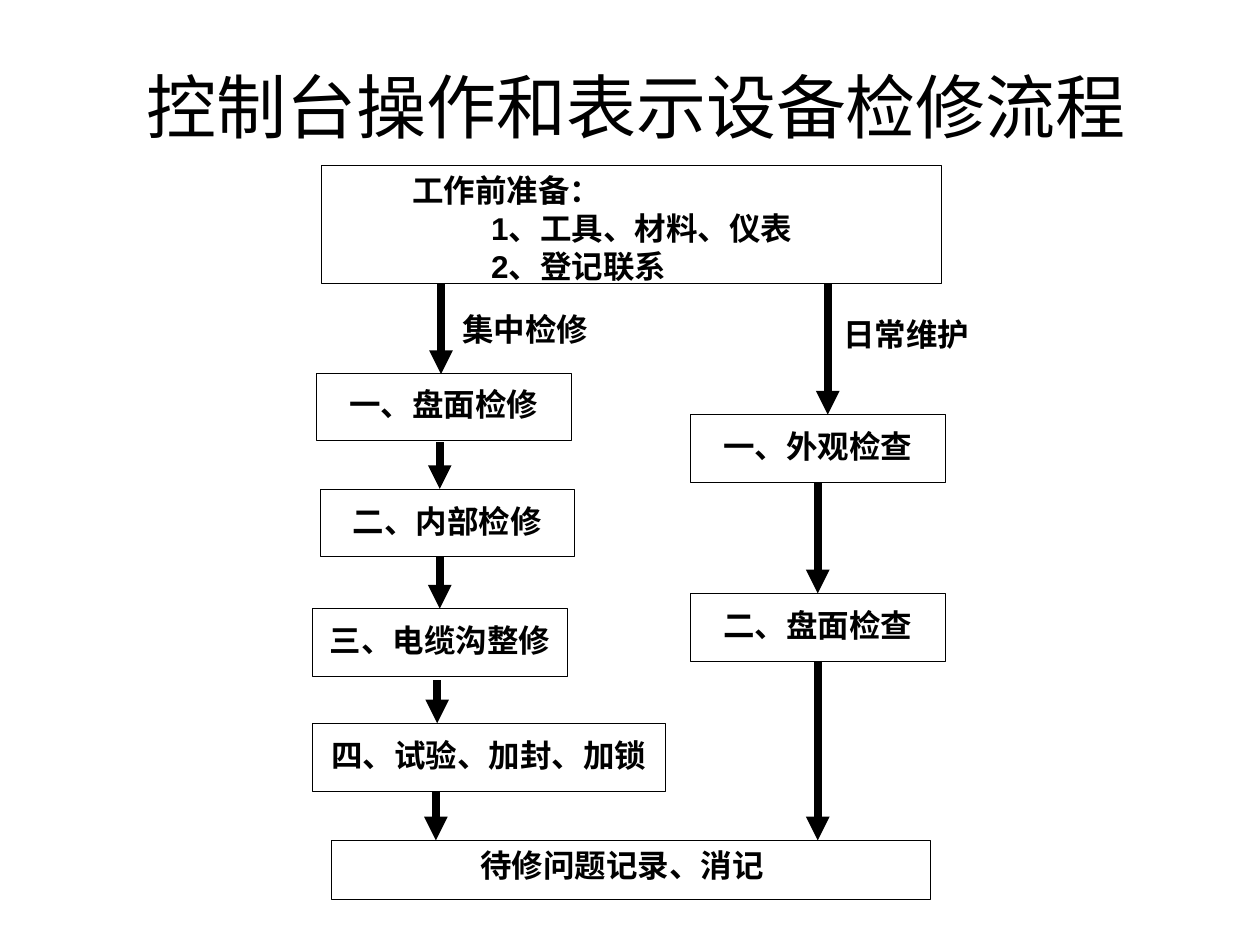
from lxml.etree import SubElement
from pptx import Presentation
from pptx.dml.color import RGBColor
from pptx.enum.shapes import MSO_CONNECTOR as Connector, MSO_SHAPE as Shape
from pptx.enum.text import MSO_ANCHOR as Anchor, PP_ALIGN as Align
from pptx.oxml.ns import qn
from pptx.util import Pt

COLORS = {"ink": "000000", "paper": "FFFFFF"}
BOX_HEIGHT = 38.6
TOP, BOTTOM = 0, 2


def color(name):
    """Return the named colour."""
    return RGBColor.from_string(COLORS[name])


def write(shape, lines, size=18, bold=True, align=Align.LEFT, anchor=Anchor.TOP, inset=3.6):
    """Fill a shape with (text, indent) lines."""
    frame = shape.text_frame
    frame.word_wrap = True
    frame.vertical_anchor = anchor
    frame.margin_left = frame.margin_right = Pt(7.2)
    frame.margin_top = frame.margin_bottom = Pt(inset)
    for index, (text, indent) in enumerate(lines):
        paragraph = frame.add_paragraph() if index else frame.paragraphs[0]
        paragraph.text = text
        paragraph.alignment = align
        if indent:
            paragraph._p.get_or_add_pPr().set("marL", str(Pt(indent)))
        paragraph.font.name = "Arial"
        paragraph.font.size = Pt(size)
        paragraph.font.bold = bold
        paragraph.font.color.rgb = color("ink")


def add_label(slide, box, text, indent=0, **style):
    """Add a text box without outline."""
    label = slide.shapes.add_textbox(*map(Pt, box))
    write(label, [(text, indent)], **style)


def add_box(slide, box, lines, **style):
    """Add an outlined white rectangle with text."""
    shape = slide.shapes.add_shape(Shape.RECTANGLE, *map(Pt, box))
    shape.shadow.inherit = False
    shape.fill.solid()
    shape.fill.fore_color.rgb = color("paper")
    shape.line.color.rgb = color("ink")
    shape.line.width = Pt(0.25)
    write(shape, lines, **style)
    return shape


def add_arrow(slide, x, start, end, source=None, target=None):
    """Add a thick downward arrow, joined to the given boxes."""
    arrow = slide.shapes.add_connector(Connector.STRAIGHT, Pt(x), Pt(start), Pt(x), Pt(end))
    arrow.line.color.rgb = color("ink")
    arrow.line.width = Pt(4.5)
    SubElement(arrow.line._get_or_add_ln(), qn("a:tailEnd"), type="triangle")
    SubElement(arrow._element.spPr, qn("a:effectLst"))
    if source is not None:
        arrow.begin_connect(source, BOTTOM)
    if target is not None:
        arrow.end_connect(target, TOP)


def add_branch(slide, left, top, label, steps, arrows):
    """Add one branch: its label, its step boxes and its arrows."""
    x, y, width, text, indent = label
    add_label(slide, (left + x, top + y, width, 28.8), text, indent)
    boxes = [
        add_box(slide, (left + x, top + y, width, BOX_HEIGHT), [(text, 0)],
                align=Align.CENTER, inset=7.2)
        for x, y, width, text in steps
    ]
    for x, start, end, source, target in arrows:
        add_arrow(slide, left + x, top + start, top + end,
                  None if source is None else boxes[source],
                  None if target is None else boxes[target])


def main():
    """Build and save the flow chart slide."""
    presentation = Presentation()
    presentation.slide_width, presentation.slide_height = Pt(720), Pt(540)
    slide = presentation.slides.add_slide(presentation.slide_layouts[6])

    add_label(slide, (39.6, 31.7, 648, 56.9), "控制台操作和表示设备检修流程",
              size=40, bold=False, align=Align.CENTER, anchor=Anchor.MIDDLE)
    add_box(slide, (183.6, 94.3, 354.2, 67.7),
            [("工作前准备：", 45), ("1、工具、材料、仪表", 90), ("2、登记联系", 90)])
    add_box(slide, (189.4, 480.2, 342, 33.8), [("待修问题记录、消记", 78)])

    add_branch(
        slide, 178.6, 162, (78.4, 11.5, 113, "集中检修", 0),
        [(2.2, 51.1, 145.4, "一、盘面检修"),
         (4.3, 117.4, 145.4, "二、内部检修"),
         (0, 185.8, 145.4, "三、电缆沟整修"),
         (0, 251.3, 201.6, "四、试验、加封、加锁")],
        [(73.4, 0, 51.8, None, None),
         (72.7, 90.7, 117.4, None, None),
         (72.7, 156, 185.8, None, 2),
         (71.2, 226.8, 251.3, None, None),
         (70.5, 289.9, 318.2, None, None)])
    add_branch(
        slide, 394.6, 162, (71.2, 14.4, 108.7, "日常维护", 9),
        [(0, 74.9, 145.4, "一、外观检查"),
         (0, 177.1, 145.4, "二、盘面检查")],
        [(78.4, 0, 74.9, None, None),
         (72.7, 113.5, 177.1, 0, 1),
         (72.7, 215.7, 318.2, 1, None)])

    presentation.save("out.pptx")


if __name__ == "__main__":
    main()
